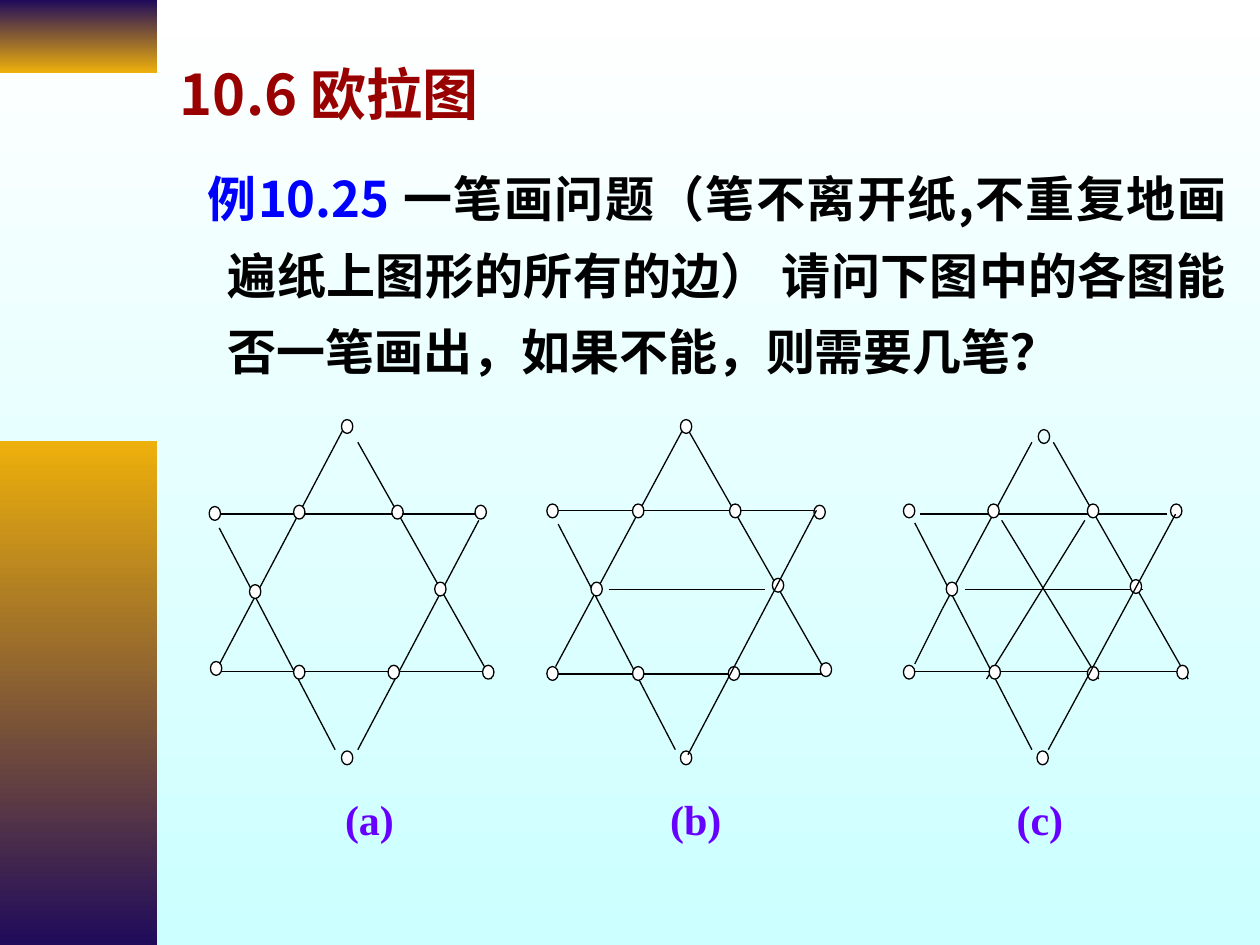
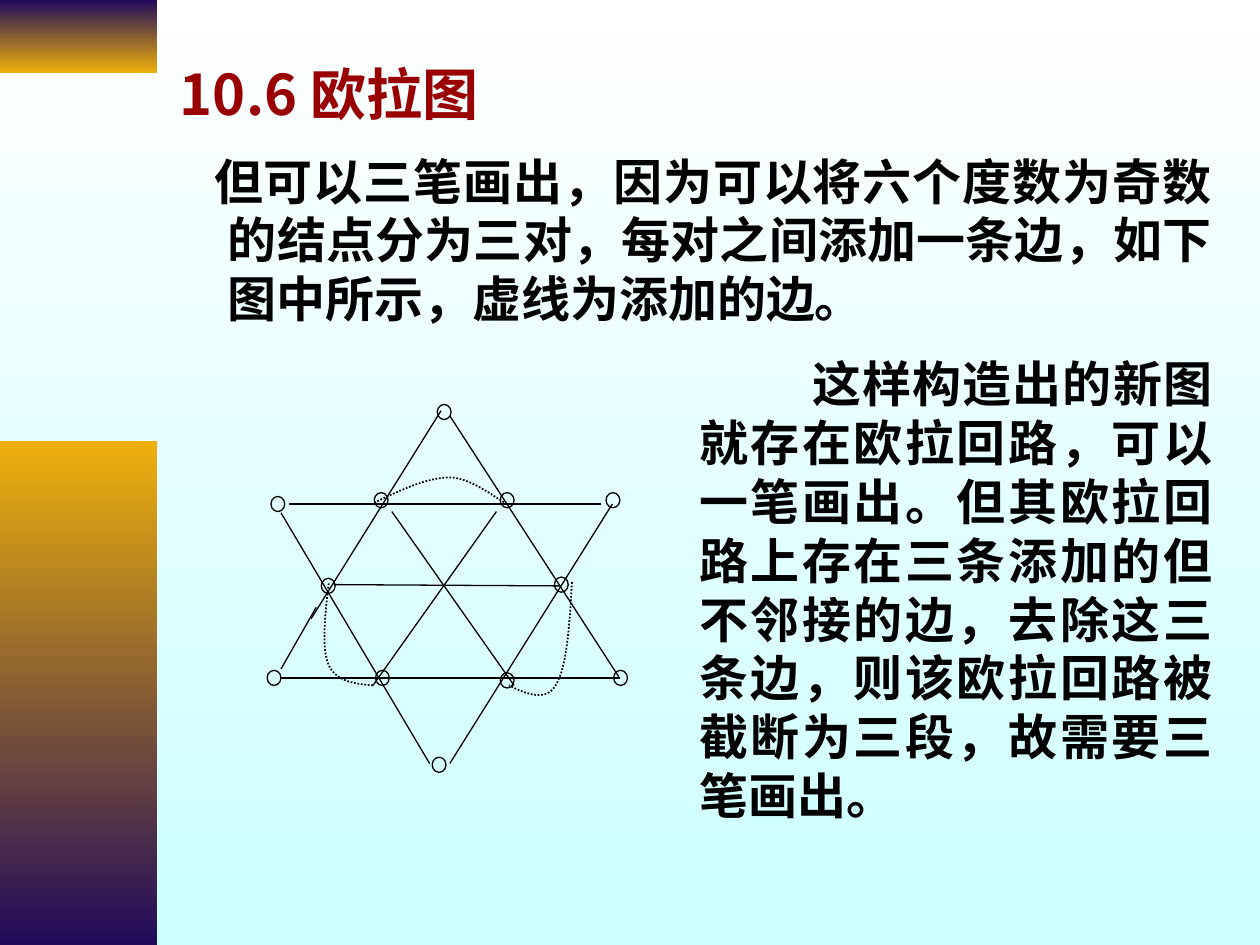
from dataclasses import dataclass
from typing import NamedTuple

from lxml import etree
from pptx import Presentation
from pptx.dml.color import RGBColor
from pptx.enum.dml import MSO_LINE
from pptx.enum.shapes import MSO_CONNECTOR, MSO_SHAPE
from pptx.enum.text import MSO_ANCHOR, PP_ALIGN
from pptx.oxml.ns import qn
from pptx.util import Inches, Pt

WHITE = RGBColor(0xFF, 0xFF, 0xFF)
BLACK = RGBColor(0x00, 0x00, 0x00)
PALE_CYAN = RGBColor(0xCC, 0xFF, 0xFF)
INDIGO = RGBColor(0x20, 0x0B, 0x5B)
GOLD = RGBColor(0xEE, 0xB0, 0x0B)
DARK_RED = RGBColor(0x99, 0x00, 0x00)
BLUE = RGBColor(0x00, 0x00, 0xFF)
VIOLET = RGBColor(0x66, 0x00, 0xFF)

CJK_FONT = "Noto Sans CJK SC"
LATIN_FONT = "Times New Roman"
BODY_SIZE = 28
LINE_PITCH = 33.6
CURVE_STEPS = 16

RECTANGLE = MSO_SHAPE.RECTANGLE
OVAL = MSO_SHAPE.OVAL
STRAIGHT = MSO_CONNECTOR.STRAIGHT
DOTTED = MSO_LINE.ROUND_DOT
LEFT = PP_ALIGN.LEFT
JUSTIFY = PP_ALIGN.JUSTIFY
TOP = MSO_ANCHOR.TOP
MIDDLE = MSO_ANCHOR.MIDDLE


class Point(NamedTuple):
    x: float
    y: float


class Area(NamedTuple):
    left: float
    top: float
    width: float
    height: float


class Margins(NamedTuple):
    left: float = 0.1
    top: float = 0.05
    right: float = 0.1
    bottom: float = 0.05


class Segment(NamedTuple):
    x1: float
    y1: float
    x2: float
    y2: float


class Span(NamedTuple):
    text: str
    color: RGBColor = BLACK


@dataclass
class StarGraph:
    """Edges under the nodes, nodes by their top-left corner, edges over them."""
    edges: list[Segment]
    node_width: float
    node_height: float
    nodes: list[Point]
    hollow_nodes: list[Point]
    top_edges: list[Segment]


def small_star(edges, nodes, hollow_nodes=(), top_edges=()) -> StarGraph:
    return StarGraph([Segment(*e) for e in edges], 0.09, 0.11,
                     [Point(*n) for n in nodes], [Point(*n) for n in hollow_nodes],
                     [Segment(*e) for e in top_edges])


STAR_A = small_star(
    edges=[(1.7, 4.08, 3.82, 4.08), (1.73, 5.33, 3.86, 5.33), (2.76, 3.34, 1.7, 5.35),
           (1.74, 4.19, 2.66, 5.95), (2.84, 3.51, 3.9, 5.39), (3.8, 4.13, 2.84, 5.95)],
    nodes=[(2.71, 3.33), (1.66, 4.02), (2.33, 4.01), (3.11, 4.01), (3.77, 4.01),
           (1.98, 4.64), (3.45, 4.62),
           (1.67, 5.25), (2.33, 5.28), (3.08, 5.28), (3.83, 5.28), (2.71, 5.96)])

STAR_B = small_star(
    edges=[(4.39, 4.05, 6.51, 4.05), (4.41, 5.35, 6.54, 5.35), (5.42, 3.41, 4.41, 5.29),
           (4.43, 4.16, 5.36, 5.95), (5.46, 3.41, 6.53, 5.29), (4.83, 4.68, 6.07, 4.68)],
    nodes=[(5.4, 3.33), (4.34, 4), (5.02, 4), (5.79, 4), (6.46, 4.01),
           (4.69, 4.62), (6.13, 4.59),
           (4.34, 5.29), (5.02, 5.29), (5.78, 5.29), (6.51, 5.26), (5.4, 5.96)],
    top_edges=[(6.48, 4.05, 5.46, 5.99)])

STAR_C = small_star(
    edges=[(7.3, 4.08, 9.26, 4.08), (7.26, 5.33, 9.38, 5.33), (8.19, 3.51, 7.48, 4.83),
           (7.48, 4.83, 7.26, 5.27), (7.26, 4.15, 8.19, 5.95), (8.36, 3.51, 9.43, 5.39),
           (7.66, 4.68, 9.07, 4.68), (7.95, 4.13, 8.72, 5.39), (8.61, 4.13, 7.83, 5.39)],
    nodes=[(7.17, 4), (7.84, 4), (8.63, 4), (9.29, 4), (7.51, 4.62), (8.97, 4.6),
           (7.17, 5.28), (7.85, 5.28), (8.63, 5.29), (9.34, 5.28), (8.23, 5.96)],
    hollow_nodes=[(8.24, 3.41)],
    top_edges=[(9.33, 4.08, 8.32, 5.95)])

LARGE_STAR = StarGraph(
    edges=[Segment(*e) for e in (
        (2.65, 4.64, 4.44, 4.65), (4.86, 4, 3.57, 6.06), (3.5, 3.26, 2.47, 4.91),
        (2.29, 4, 4.77, 4), (2.23, 5.38, 4.92, 5.38), (2.51, 4.82, 2.23, 5.31),
        (2.23, 4.07, 3.41, 6.06), (3.57, 3.3, 4.91, 5.37), (3.11, 4.06, 4.08, 5.44),
        (3.94, 4.06, 2.96, 5.44))],
    node_width=0.11, node_height=0.12, nodes=[],
    hollow_nodes=[Point(*n) for n in (
        (3.47, 3.21), (2.15, 3.94), (2.97, 3.91), (3.97, 3.91), (4.81, 3.91),
        (2.55, 4.59), (4.4, 4.58),
        (2.12, 5.32), (2.98, 5.32), (3.97, 5.34), (4.87, 5.32), (3.43, 6.01))],
    top_edges=[])

# Each added edge: a start point, then two control points and an end per cubic arc.
ADDED_EDGES = [
    [(2.97, 3.99), (3.18, 3.89), (3.39, 3.79), (3.57, 3.79),
     (3.74, 3.79), (3.94, 3.96), (4.01, 3.99)],
    [(4.54, 4.62), (4.52, 4.96), (4.5, 5.3), (4.41, 5.44),
     (4.33, 5.57), (4.18, 5.51), (4.04, 5.44)],
    [(2.61, 4.63), (2.58, 4.88), (2.55, 5.14), (2.61, 5.28),
     (2.67, 5.41), (2.82, 5.43), (2.97, 5.44)],
]

STAR_LABELS = [("(a)", 2.64), ("(b)", 5.22), ("(c)", 7.97)]


def fill_downwards(fill, upper: RGBColor, lower: RGBColor) -> None:
    fill.gradient()
    fill.gradient_angle = 270
    for stop, color in zip(fill.gradient_stops, (upper, lower)):
        stop.color.rgb = color


def add_band(page, area: Area, upper: RGBColor, lower: RGBColor) -> None:
    band = page.shapes.add_shape(RECTANGLE, *map(Inches, area))
    band.shadow.inherit = False
    band.line.fill.background()
    fill_downwards(band.fill, upper, lower)


def add_text(page, area: Area, spans: list[Span], *, size: float = BODY_SIZE,
             font: str = CJK_FONT, align=LEFT, anchor=TOP,
             margins: Margins = Margins(), hanging: float = 0,
             first_indent: float = 0, pitch: float | None = None) -> None:
    """Add one bold paragraph in a wrapping text box."""
    frame = page.shapes.add_textbox(*map(Inches, area)).text_frame
    frame.word_wrap = True
    frame.vertical_anchor = anchor
    (frame.margin_left, frame.margin_top,
     frame.margin_right, frame.margin_bottom) = map(Inches, margins)
    para = frame.paragraphs[0]
    para.alignment = align
    if pitch:
        para.line_spacing = Pt(pitch)
    properties = para._p.get_or_add_pPr()
    properties.set("marL", str(Inches(hanging)))
    properties.set("indent", str(Inches(first_indent)))
    for span in spans:
        run = para.add_run()
        run.text = span.text
        run.font.size = Pt(size)
        run.font.bold = True
        run.font.name = font
        run.font.color.rgb = span.color
        east_asian = etree.SubElement(run.font._element, qn("a:ea"))
        east_asian.set("typeface", CJK_FONT)


def add_edge(page, edge: Segment) -> None:
    line = page.shapes.add_connector(STRAIGHT, *map(Inches, edge))
    line.line.color.rgb = BLACK
    line.line.width = Pt(0.75)
    etree.SubElement(line._element.spPr, qn("a:effectLst"))


def add_node(page, corner: Point, width: float, height: float,
             fill: RGBColor | None) -> None:
    node = page.shapes.add_shape(OVAL, *map(Inches, (*corner, width, height)))
    node.shadow.inherit = False
    node.line.color.rgb = BLACK
    node.line.width = Pt(0.75)
    if fill is None:
        node.fill.background()
    else:
        node.fill.solid()
        node.fill.fore_color.rgb = fill


def draw_star(page, star: StarGraph) -> None:
    for edge in star.edges:
        add_edge(page, edge)
    for corners, fill in ((star.nodes, WHITE), (star.hollow_nodes, None)):
        for corner in corners:
            add_node(page, corner, star.node_width, star.node_height, fill)
    for edge in star.top_edges:
        add_edge(page, edge)


def cubic(a: float, b: float, c: float, d: float, t: float) -> float:
    s = 1 - t
    return s**3 * a + 3 * s * s * t * b + 3 * s * t * t * c + t**3 * d


def add_dotted_curve(page, controls: list[tuple[float, float]]) -> None:
    vertices = []
    for start in range(0, len(controls) - 1, 3):
        xs, ys = zip(*controls[start:start + 4])
        for step in range(1, CURVE_STEPS + 1):
            t = step / CURVE_STEPS
            vertices.append((Inches(cubic(*xs, t)), Inches(cubic(*ys, t))))
    builder = page.shapes.build_freeform(*map(Inches, controls[0]))
    builder.add_line_segments(vertices, close=False)
    curve = builder.convert_to_shape()
    curve.shadow.inherit = False
    curve.fill.background()
    curve.line.color.rgb = BLACK
    curve.line.width = Pt(1)
    curve.line.dash_style = DOTTED


def add_page(deck):
    """Add a slide with the shared background, side bands and section title."""
    page = deck.slides.add_slide(deck.slide_layouts[6])
    fill_downwards(page.background.fill, WHITE, PALE_CYAN)
    add_band(page, Area(0, 0, 1.25, 0.58), INDIGO, GOLD)
    add_band(page, Area(0, 3.5, 1.25, 4), GOLD, INDIGO)
    add_text(page, Area(1.33, 0.33, 8.5, 0.82), [Span("10.6 欧拉图", DARK_RED)],
             size=32, anchor=MIDDLE)
    return page


def add_body(page, area: Area, spans: list[Span], first_indent: float,
             pitch: float) -> None:
    add_text(page, area, spans, align=JUSTIFY, hanging=0.38,
             first_indent=first_indent, pitch=pitch)


def build_question_page(deck) -> None:
    page = add_page(deck)
    add_body(page, Area(1.33, 1.15, 8.5, 5.98), [
        Span("例10.25 ", BLUE),
        Span("一笔画问题（笔不离开纸,不重复地画遍纸上图形的所有的边） "
             "请问下图中的各图能否一笔画出，如果不能，则需要几笔？"),
    ], first_indent=-0.16, pitch=LINE_PITCH * 1.3)
    for star in (STAR_A, STAR_B, STAR_C):
        draw_star(page, star)
    for label, left in STAR_LABELS:
        add_text(page, Area(left, 6.25, 0.8, 0.5), [Span(label, VIOLET)],
                 size=24, font=LATIN_FONT)


def build_answer_page(deck) -> None:
    page = add_page(deck)
    add_body(page, Area(1.33, 1.15, 8.39, 1.73), [
        Span("但可以三笔画出，因为可以将六个度数为奇数的结点分为三对，"
             "每对之间添加一条边，如下图中所示，虚线为添加的边。"),
    ], first_indent=-0.11, pitch=LINE_PITCH)
    draw_star(page, LARGE_STAR)
    for controls in ADDED_EDGES:
        add_dotted_curve(page, controls)
    add_text(page, Area(5.55, 2.81, 4.17, 3.74), [
        Span("这样构造出的新图就存在欧拉回路，可以一笔画出。但其欧拉回路上存在三条"
             "添加的但不邻接的边，去除这三条边，则该欧拉回路被截断为三段，故需要三笔画出。"),
    ], font=LATIN_FONT, align=JUSTIFY, margins=Margins(left=0, top=0, bottom=0),
        first_indent=0.9, pitch=LINE_PITCH)


def main() -> None:
    deck = Presentation()
    deck.slide_width = Inches(10)
    deck.slide_height = Inches(7.5)
    build_question_page(deck)
    build_answer_page(deck)
    deck.save("out.pptx")


if __name__ == "__main__":
    main()
